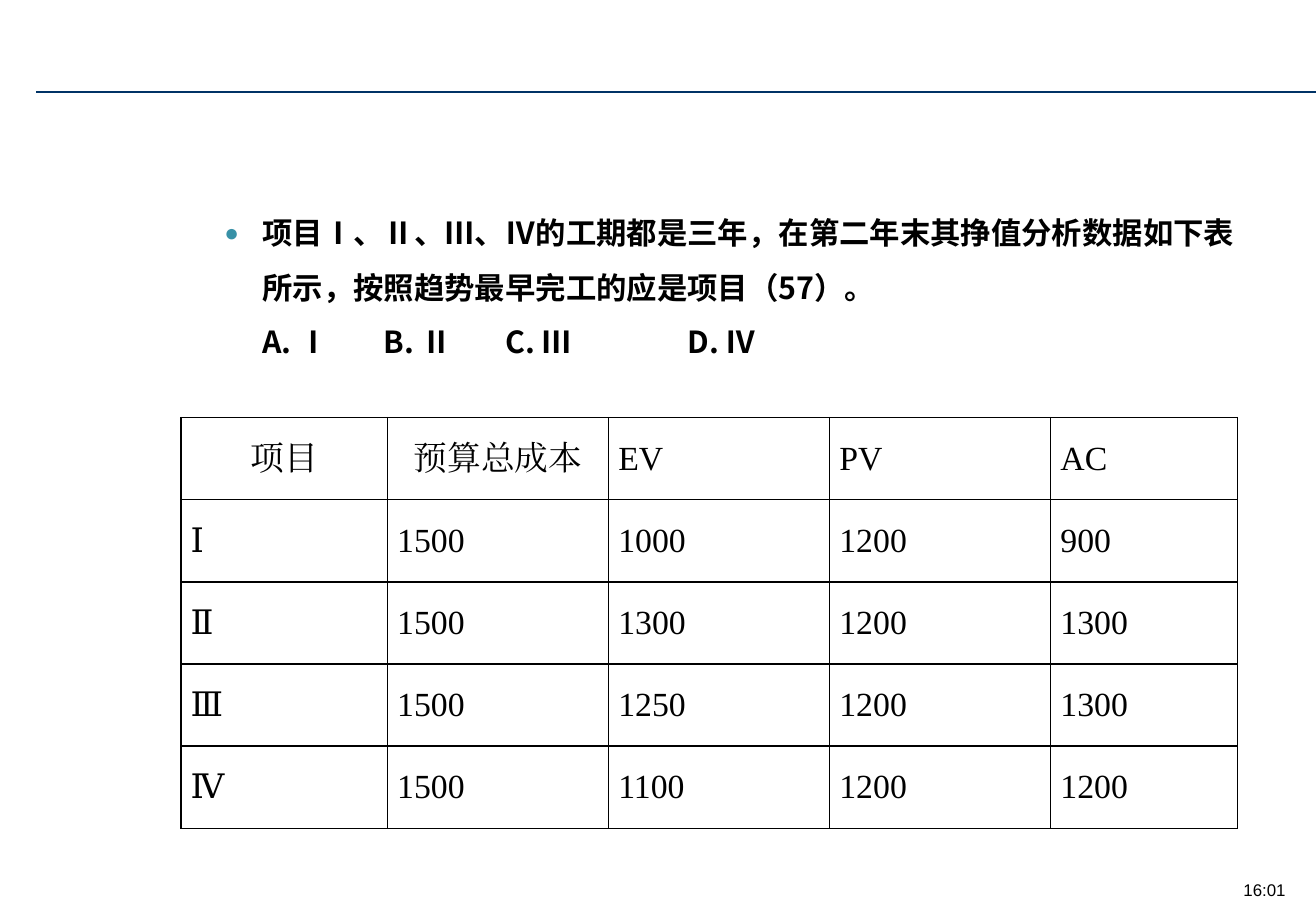
from dataclasses import dataclass

from lxml import etree
from pptx import Presentation
from pptx.dml.color import RGBColor
from pptx.enum.shapes import MSO_CONNECTOR
from pptx.enum.text import MSO_ANCHOR, MSO_AUTO_SIZE, PP_ALIGN
from pptx.oxml.ns import qn
from pptx.util import Pt

STRAIGHT = MSO_CONNECTOR.STRAIGHT
TOP, MIDDLE = MSO_ANCHOR.TOP, MSO_ANCHOR.MIDDLE
NO_AUTOFIT = MSO_AUTO_SIZE.NONE
LEFT, CENTER, JUSTIFY = PP_ALIGN.LEFT, PP_ALIGN.CENTER, PP_ALIGN.JUSTIFY


@dataclass(frozen=True)
class Theme:
    text: str = "000000"
    paper: str = "FFFFFF"
    rule: str = "003366"
    bullet: str = "3891A7"
    question_font: str = "Noto Sans CJK SC"
    table_font: str = "Times New Roman"
    clock_font: str = "Arial"
    question_size: float = 18
    table_size: float = 20
    clock_size: float = 10


THEME = Theme()
SLIDE_WIDTH, SLIDE_HEIGHT = 780, 540

QUESTION = "项目Ⅰ、Ⅱ、Ⅲ、Ⅳ的工期都是三年，在第二年末其挣值分析数据如下表所示，按照趋势最早完工的应是项目（57）。"
CHOICES = "A. Ⅰ\tB. Ⅱ\tC. Ⅲ\t\tD. Ⅳ"
EARNED_VALUE_ROWS = [
    ["项目", "预算总成本", "EV", "PV", "AC"],
    ["Ⅰ", "1500", "1000", "1200", "900"],
    ["Ⅱ", "1500", "1300", "1200", "1300"],
    ["Ⅲ", "1500", "1250", "1200", "1300"],
    ["Ⅳ", "1500", "1100", "1200", "1200"],
]
COLUMN_SHARES = [1.7, 1.82, 1.82, 1.82, 1.54]
CENTERED_HEADERS = 2


def add_element(parent, tag, **attributes):
    return etree.SubElement(parent, qn(tag), attributes)


def style_paragraph(paragraph, font_name, size, bold=False):
    font = paragraph.font
    font.size = Pt(size)
    font.bold = bold
    font.color.rgb = RGBColor.from_string(THEME.text)
    font.name = font_name
    add_element(font._element, "a:ea", typeface=font_name)


def add_header_rule(slide, left, top, width):
    line = slide.shapes.add_connector(
        STRAIGHT, Pt(left), Pt(top), Pt(left + width), Pt(top))
    line.line.color.rgb = RGBColor.from_string(THEME.rule)
    line.line.width = Pt(1)
    add_element(line._element.spPr, "a:effectLst")


def add_clock(slide, left, top, width, height):
    box = slide.shapes.add_textbox(Pt(left), Pt(top), Pt(width), Pt(height))
    paragraph = box.text_frame.paragraphs[0]
    paragraph.text = "16:01"
    paragraph.alignment = CENTER
    style_paragraph(paragraph, THEME.clock_font, THEME.clock_size)


def add_bullet(properties):
    color = add_element(properties, "a:buClr")
    add_element(color, "a:srgbClr", val=THEME.bullet)
    add_element(properties, "a:buSzPct", val="80000")
    add_element(properties, "a:buChar", char="●")


def fill_question(body, left, top, width, height):
    body.left, body.top = Pt(left), Pt(top)
    body.width, body.height = Pt(width), Pt(height)
    frame = body.text_frame
    frame.word_wrap = True
    frame.auto_size = NO_AUTOFIT
    frame.vertical_anchor = TOP
    frame.text = QUESTION
    frame.add_paragraph().text = CHOICES

    # The choices align with the question text, without a bullet
    for paragraph, hanging in zip(frame.paragraphs, (-22.5, 0)):
        paragraph.alignment = LEFT
        paragraph.line_spacing = Pt(32.2)
        paragraph.space_before = paragraph.space_after = Pt(0)
        properties = paragraph._p.get_or_add_pPr()
        properties.set("marL", str(Pt(28.8)))
        properties.set("indent", str(Pt(hanging)))
        if hanging:
            add_bullet(properties)
        else:
            add_element(properties, "a:buNone")
        style_paragraph(paragraph, THEME.question_font,
                        THEME.question_size, bold=True)


def add_cell_borders(cell):
    properties = cell._tc.get_or_add_tcPr()
    for position, side in enumerate(("a:lnL", "a:lnR", "a:lnT", "a:lnB")):
        line = etree.Element(qn(side), w=str(Pt(1)))
        fill = add_element(line, "a:solidFill")
        add_element(fill, "a:srgbClr", val=THEME.text)
        properties.insert(position, line)


def add_earned_value_table(slide, left, top, width, height):
    row_count, column_count = len(EARNED_VALUE_ROWS), len(COLUMN_SHARES)
    table = slide.shapes.add_table(row_count, column_count, Pt(left), Pt(top),
                                   Pt(width), Pt(height)).table
    table.first_row = table.horz_banding = False
    for column, share in zip(table.columns, COLUMN_SHARES):
        column.width = Pt(width * share / sum(COLUMN_SHARES))
    for row_index, values in enumerate(EARNED_VALUE_ROWS):
        table.rows[row_index].height = Pt(height / row_count)
        for column_index, value in enumerate(values):
            cell = table.cell(row_index, column_index)
            cell.fill.solid()
            cell.fill.fore_color.rgb = RGBColor.from_string(THEME.paper)
            add_cell_borders(cell)
            cell.vertical_anchor = MIDDLE
            cell.margin_left = cell.margin_right = Pt(5.76)
            cell.margin_top = cell.margin_bottom = Pt(0)
            paragraph = cell.text_frame.paragraphs[0]
            paragraph.text = value
            centered = row_index == 0 and column_index < CENTERED_HEADERS
            paragraph.alignment = CENTER if centered else JUSTIFY
            style_paragraph(paragraph, THEME.table_font, THEME.table_size)


def build_question_slide(presentation):
    slide = presentation.slides.add_slide(presentation.slide_layouts[1])
    title, body = slide.placeholders
    title._element.getparent().remove(title._element)

    # Header and footer
    add_header_rule(slide, 21.6, 54.6, SLIDE_WIDTH - 21.6)
    add_clock(slide, 727.2, 517.6, 44.6, 19.4)

    # Question and its data
    fill_question(body, 119.5, 113, 620, 105)
    add_earned_value_table(slide, 107.3, 247.5, 626.4, 243.5)


def main():
    presentation = Presentation()
    presentation.slide_width = Pt(SLIDE_WIDTH)
    presentation.slide_height = Pt(SLIDE_HEIGHT)
    build_question_slide(presentation)
    presentation.save("out.pptx")


if __name__ == "__main__":
    main()
